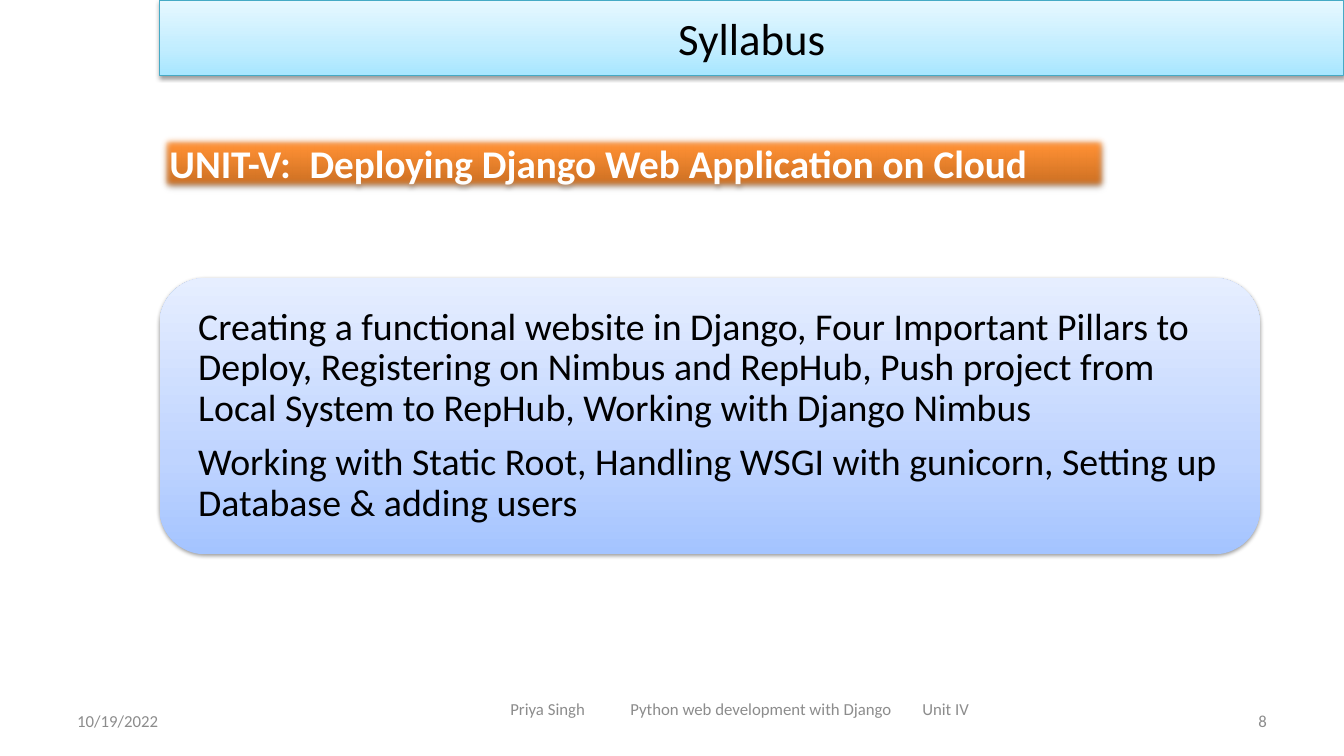
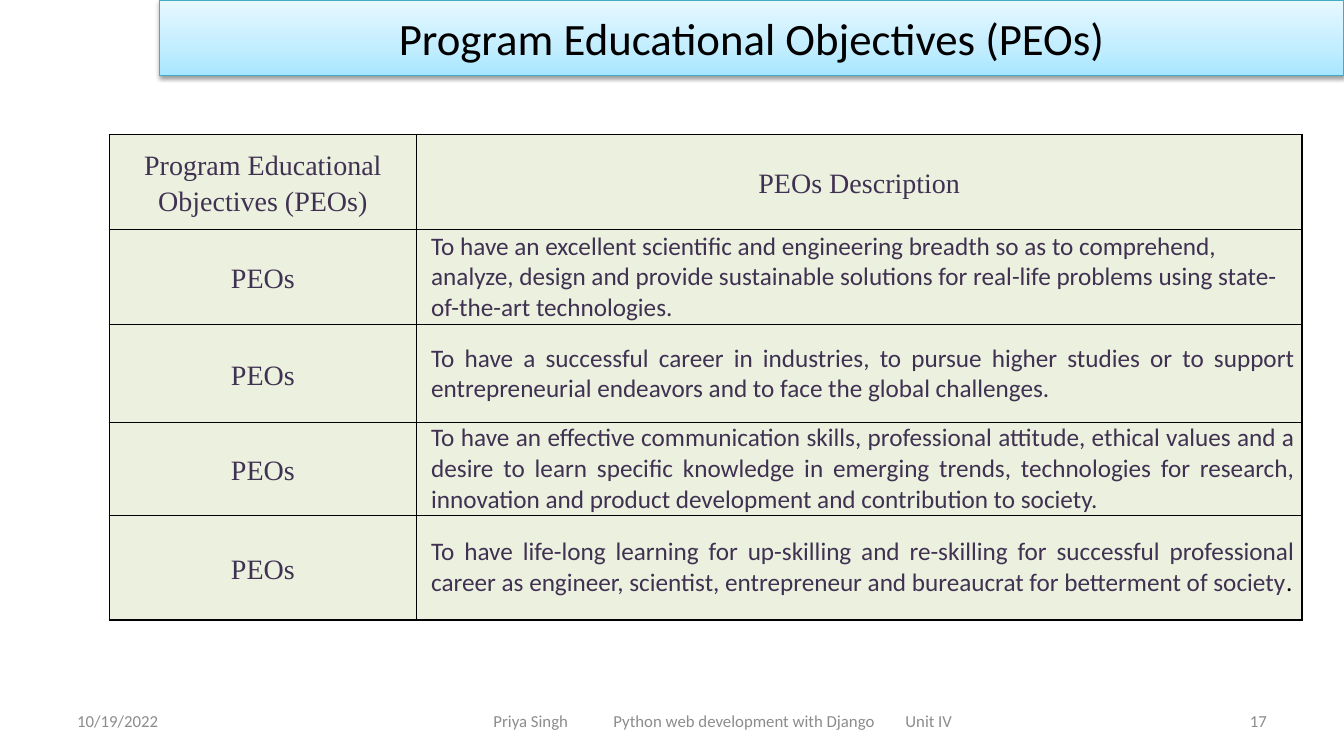
import copy

import pptx
import pptx.dml.color
import pptx.enum.shapes
import pptx.enum.text
import pptx.oxml
import pptx.oxml.ns
import pptx.util

Pt = pptx.util.Pt
ALIGN = pptx.enum.text.PP_ALIGN
ANCHOR = pptx.enum.text.MSO_ANCHOR
SHAPE = pptx.enum.shapes.MSO_SHAPE

SLIDE_W, SLIDE_H = 960, 540
SANS, SERIF = "Calibri", "Times New Roman"
BLACK, WHITE, GRAY, PLUM = "000000", "FFFFFF", "8C8C8C", "403152"
CELL_FILL, TITLE_LINE = "EBF1DE", "46AAC5"
CYAN = [(0, "A7E6FF"), (0.35, "C1EDFF"), (1, "E7F8FF")]
ORANGE = [(0, "C2691F"), (0.8, "FF9034"), (1, "FF9136")]
BLUE = [(0, "A4C4FF"), (0.35, "BFD4FF"), (1, "E6EEFF")]

TITLE_BOX = (114, 0, 846, 54)
DATE_BOX = (48, 500.4, 224, 28.8)
PAGE_BOX = (688, 500.4, 224, 28.8)
DATE = "10/19/2022"
COURSE = "Priya Singh\tPython web development with Django\tUnit IV"
COURSE_W, COURSE_TABS = 327, (85.7, 294.3)

PEOS = [
    (ALIGN.LEFT, ["To have an excellent scientific and engineering breadth so as to "
                  "comprehend, analyze, design and provide sustainable solutions for "
                  "real-life problems using state-of-the-art technologies."]),
    (ALIGN.JUSTIFY, ["To have a successful career in industries, to pursue higher studies "
                     "or to support entrepreneurial endeavors and to face the global "
                     "challenges."]),
    (ALIGN.JUSTIFY, ["To have an effective communication skills, professional attitude, "
                     "ethical values and a desire to learn specific knowledge in emerging "
                     "trends, technologies for research, innovation and product "
                     "development and contribution to society."]),
    (ALIGN.JUSTIFY, ["To have life-long learning for up-skilling and re-skilling for "
                     "successful professional career as engineer, scientist, entrepreneur "
                     "and bureaucrat for betterment of society", "."]),
]


def rgb(color):
    return pptx.dml.color.RGBColor.from_string(color)


def draw_xml(body):
    """Parse one DrawingML element given without its namespace declaration."""
    head, rest = body.split(" ", 1)
    return pptx.oxml.parse_xml(f"{head} {pptx.oxml.ns.nsdecls('a')} {rest}")


def add_run(p, text, size, color=BLACK, font=SANS, bold=False):
    r = p.add_run()
    r.text = text
    r.font.size, r.font.name, r.font.bold = Pt(size), font, bold
    r.font.color.rgb = rgb(color)


def set_tabs(p, stops):
    tabs = "".join(f'<a:tab pos="{int(Pt(x))}" algn="l"/>' for x in stops)
    p._p.get_or_add_pPr().append(draw_xml(f"<a:tabLst >{tabs}</a:tabLst>"))


def add_text(s, box, text, size, color, align):
    """Add a vertically centred one-line text box."""
    tf = s.shapes.add_textbox(*map(Pt, box)).text_frame
    tf.word_wrap = True
    tf.vertical_anchor = ANCHOR.MIDDLE
    p = tf.paragraphs[0]
    p.alignment = align
    add_run(p, text, size, color)
    return tf


def add_panel(s, kind, box, stops, shadow=38, distance=1.6, soft_edge=0):
    """Add a shape with a gradient rising from its bottom edge and a shadow below."""
    sp = s.shapes.add_shape(kind, *map(Pt, box))
    sp.fill.gradient()
    sp.fill.gradient_angle = 90
    spPr = sp._element.spPr
    gs_list = spPr.find(".//" + pptx.oxml.ns.qn("a:gsLst"))
    gs_list.append(copy.deepcopy(gs_list[0]))
    for stop, (position, color) in zip(sp.fill.gradient_stops, stops):
        stop.position = position
        stop.color.rgb = rgb(color)
    sp.line.fill.background()
    sp.shadow.inherit = False
    effects = spPr.find(pptx.oxml.ns.qn("a:effectLst"))
    effects.append(draw_xml(
        f'<a:outerShdw blurRad="{int(Pt(3.1))}" dist="{int(Pt(distance))}" dir="5400000" '
        f'rotWithShape="0"><a:srgbClr val="{BLACK}"><a:alpha val="{shadow * 1000}"/>'
        '</a:srgbClr></a:outerShdw>'))
    if soft_edge:
        effects.append(draw_xml(f'<a:softEdge rad="{int(Pt(soft_edge))}"/>'))
    sp.text_frame.word_wrap = True
    sp.text_frame.vertical_anchor = ANCHOR.MIDDLE
    return sp


def add_title(s, box, title):
    sp = add_panel(s, SHAPE.RECTANGLE, box, CYAN)
    sp.line.color.rgb = rgb(TITLE_LINE)
    sp.line.width = Pt(0.75)
    p = sp.text_frame.paragraphs[0]
    p.alignment = ALIGN.CENTER
    add_run(p, title, 32)


def add_footer(s, course_box, page):
    add_text(s, DATE_BOX, DATE, 12, GRAY, ALIGN.LEFT)
    tf = add_text(s, course_box, COURSE, 12, GRAY, ALIGN.LEFT)
    tf.margin_left = Pt((course_box[2] - COURSE_W) / 2)
    tf.margin_right = 0
    set_tabs(tf.paragraphs[0], COURSE_TABS)
    add_text(s, PAGE_BOX, page, 12, GRAY, ALIGN.RIGHT)


def new_slide(prs, title, page, course_box):
    """Add a blank slide with the shared footer and title band."""
    s = prs.slides.add_slide(prs.slide_layouts[6])
    add_footer(s, course_box, page)
    add_title(s, TITLE_BOX, title)
    return s


def add_unit_banner(s, box):
    sp = add_panel(s, SHAPE.RECTANGLE, box, ORANGE, shadow=35, distance=1.8, soft_edge=5)
    tf = sp.text_frame
    tf.vertical_anchor = ANCHOR.TOP
    p = tf.paragraphs[0]
    p.alignment = ALIGN.LEFT
    set_tabs(p, [100])
    add_run(p, "UNIT-V:\tDeploying Django Web Application on Cloud", 28, WHITE, bold=True)


def add_topics(s, box, topics):
    tf = add_panel(s, SHAPE.ROUNDED_RECTANGLE, box, BLUE).text_frame
    tf.margin_left = tf.margin_right = tf.margin_top = tf.margin_bottom = Pt(18)
    for i, topic in enumerate(topics):
        p = tf.add_paragraph() if i else tf.paragraphs[0]
        p.alignment = ALIGN.LEFT
        p.line_spacing = 0.9
        p.space_after = Pt(9.4)
        add_run(p, topic, 27)


def style_cell(cell, left=5):
    cell.fill.solid()
    cell.fill.fore_color.rgb = rgb(CELL_FILL)
    cell.vertical_anchor = ANCHOR.MIDDLE
    cell.margin_left, cell.margin_right = Pt(left), Pt(5)
    cell.margin_top = cell.margin_bottom = 0
    tcPr = cell._tc.get_or_add_tcPr()
    for i, side in enumerate("LRTB"):
        tcPr.insert(i, draw_xml(
            f'<a:ln{side} w="{int(Pt(1))}"><a:solidFill><a:srgbClr val="{BLACK}"/>'
            f'</a:solidFill></a:ln{side}>'))


def fill_label(cell, text):
    style_cell(cell)
    p = cell.text_frame.paragraphs[0]
    p.alignment = ALIGN.CENTER
    p.line_spacing = 1.15
    add_run(p, text, 20, PLUM, SERIF)


def fill_description(cell, align, texts):
    style_cell(cell, left=10.4)
    p = cell.text_frame.paragraphs[0]
    p.alignment = align
    for text, color in zip(texts, (PLUM, BLACK)):
        add_run(p, text, 18, color)


def add_peo_table(s, left, top, col_widths, row_heights):
    table = s.shapes.add_table(len(row_heights), len(col_widths), Pt(left), Pt(top),
                               Pt(sum(col_widths)), Pt(sum(row_heights))).table
    table.first_row = table.horz_banding = False
    for column, width in zip(table.columns, col_widths):
        column.width = Pt(width)
    for row, height in zip(table.rows, row_heights):
        row.height = Pt(height)
    fill_label(table.cell(0, 0), "Program Educational Objectives (PEOs)")
    fill_label(table.cell(0, 1), "PEOs Description")
    for i, (align, texts) in enumerate(PEOS, 1):
        fill_label(table.cell(i, 0), "PEOs")
        fill_description(table.cell(i, 1), align, texts)


def syllabus_slide(prs):
    s = new_slide(prs, "Syllabus", "8", (342, 491.8, 372, 28.8))
    add_unit_banner(s, (114, 96, 678, 41.2))
    add_topics(s, (114, 198.6, 786, 197.4), [
        "Creating a functional website in Django, Four Important Pillars to Deploy, "
        "Registering on Nimbus and RepHub, Push project from Local System to RepHub, "
        "Working with Django Nimbus",
        "Working with Static Root, Handling WSGI with gunicorn, Setting up Database & "
        "adding users"])


def objectives_slide(prs):
    s = new_slide(prs, "Program Educational Objectives (PEOs)", "17",
                  (318, 500.4, 396, 28.8))
    add_peo_table(s, 78, 96, (219.6, 632.4), (68, 68, 70, 66, 75))


def main():
    prs = pptx.Presentation()
    prs.slide_width, prs.slide_height = Pt(SLIDE_W), Pt(SLIDE_H)
    syllabus_slide(prs)
    objectives_slide(prs)
    prs.save("out.pptx")


if __name__ == "__main__":
    main()
